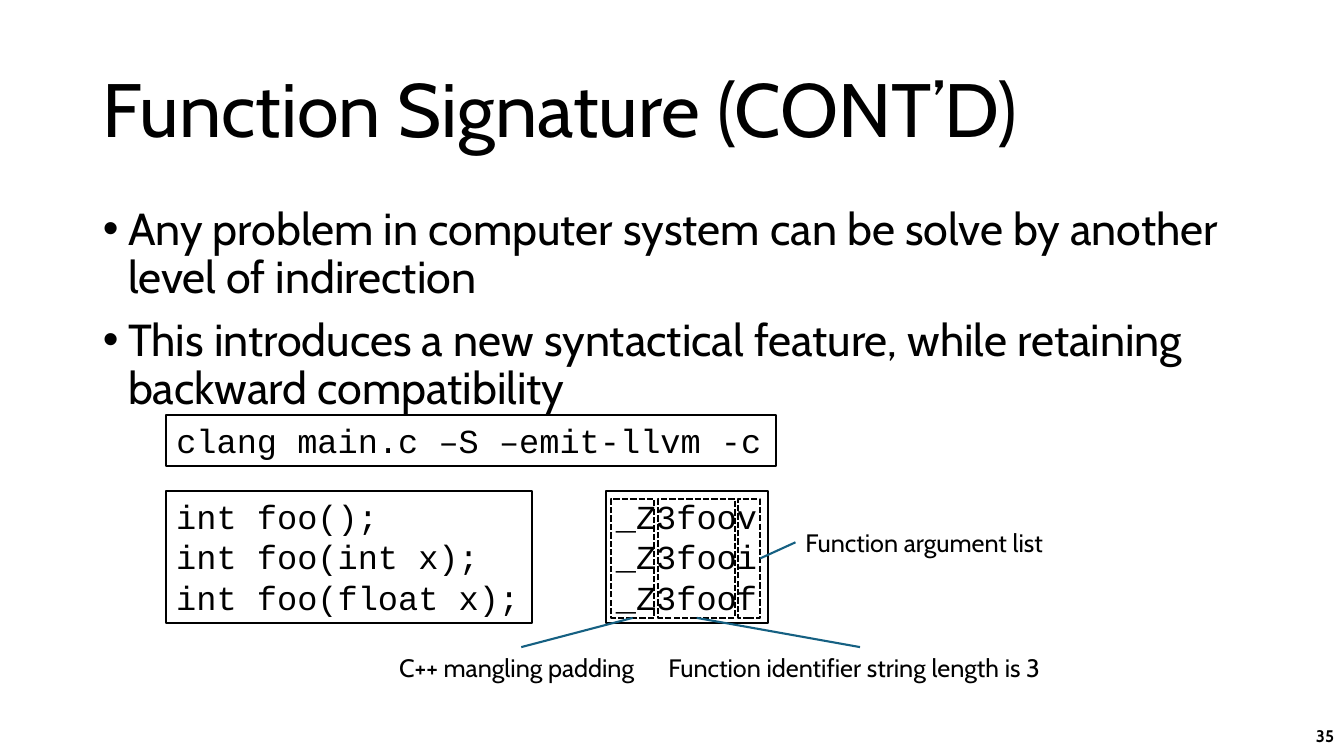
import pptx
import pptx.dml.color
import pptx.enum.dml
import pptx.enum.shapes
import pptx.enum.text
import pptx.oxml.ns
import pptx.util
from lxml import etree

ALIGN = pptx.enum.text.PP_ALIGN
ANCHOR = pptx.enum.text.MSO_ANCHOR
FIT = pptx.enum.text.MSO_AUTO_SIZE
BOTTOM, RIGHT, TOP, LEFT = 2, 3, 0, 1


def px(length):
    return pptx.util.Emu(length * 9144)


def colour(code):
    return pptx.dml.color.RGBColor.from_string(code)


class SlideBuilder:
    text_font, code_font = "Cabin", "Courier New"
    ink, paper, accent = "000000", "FFFFFF", "156082"
    line_width = pptx.util.Pt(1.5)

    def __init__(self, slide):
        self.slide = slide

    def apply(self, target, values):
        for name, value in values.items():
            setattr(target, name, value)

    def outline(self, line, code):
        line.color.rgb = colour(code)
        line.width = self.line_width

    def fill_text(self, frame, lines, size, font, bold=False, bullet=False,
                  paragraph_format=None, **frame_format):
        self.apply(frame, frame_format)
        for index, words in enumerate(lines):
            paragraph = frame.add_paragraph() if index else frame.paragraphs[0]
            if bullet:
                self.add_bullet(paragraph)
            self.apply(paragraph, {
                "alignment": ALIGN.LEFT,
                "space_before": pptx.util.Pt(10 if bullet and index else 0),
                **(paragraph_format or {}),
            })
            run = paragraph.add_run()
            run.text = words
            self.apply(run.font, {"name": font, "size": pptx.util.Pt(size), "bold": bold})
            run.font.color.rgb = colour(self.ink)

    def add_bullet(self, paragraph):
        properties = paragraph._p.get_or_add_pPr()
        properties.set("marL", str(px(25)))
        properties.set("indent", str(px(-25)))
        for tag, key, value in (("a:buFont", "typeface", "Arial"), ("a:buChar", "char", "•")):
            etree.SubElement(properties, pptx.oxml.ns.qn(tag)).set(key, value)

    def placeholder(self, holder, box, lines, size, anchor, bullet=False):
        self.apply(holder, dict(zip(("left", "top", "width", "height"), map(px, box))))
        self.fill_text(holder.text_frame, lines, size, self.text_font, bullet=bullet,
                       paragraph_format={"line_spacing": 0.9}, vertical_anchor=anchor,
                       word_wrap=True, auto_size=FIT.NONE)

    def rectangle(self, box):
        shape = self.slide.shapes.add_shape(
            pptx.enum.shapes.MSO_SHAPE.RECTANGLE, *map(px, box))
        shape.shadow.inherit = False
        self.outline(shape.line, self.ink)
        return shape

    def code(self, box, lines):
        listing = self.rectangle(box)
        listing.fill.solid()
        listing.fill.fore_color.rgb = colour(self.paper)
        self.fill_text(listing.text_frame, lines, 24, self.code_font, word_wrap=False,
                       vertical_anchor=ANCHOR.TOP, auto_size=FIT.SHAPE_TO_FIT_TEXT)

    def marker(self, box):
        part = self.rectangle(box)
        part.fill.background()
        part.line.dash_style = pptx.enum.dml.MSO_LINE.SQUARE_DOT
        return part

    def label(self, box, words):
        caption = self.slide.shapes.add_textbox(*map(px, box))
        self.fill_text(caption.text_frame, [words], 18, self.text_font, word_wrap=False,
                       auto_size=FIT.SHAPE_TO_FIT_TEXT)
        return caption

    def leader(self, part, part_side, caption, caption_side):
        link = self.slide.shapes.add_connector(
            pptx.enum.shapes.MSO_CONNECTOR.STRAIGHT, 0, 0, 0, 0)
        link.begin_connect(part, part_side)
        link.end_connect(caption, caption_side)
        self.outline(link.line, self.accent)
        etree.SubElement(link._element.spPr, pptx.oxml.ns.qn("a:effectLst"))

    def page_number(self, box, number):
        page = self.slide.shapes.add_textbox(*map(px, box))
        self.fill_text(page.text_frame, [number], 12, self.text_font, bold=True,
                       paragraph_format={"alignment": ALIGN.RIGHT},
                       vertical_anchor=ANCHOR.MIDDLE, word_wrap=True)


def main():
    deck = pptx.Presentation()
    deck.slide_width, deck.slide_height = px(1333), px(750)
    slide = deck.slides.add_slide(deck.slide_layouts[1])
    builder = SlideBuilder(slide)

    title, body = slide.placeholders
    builder.placeholder(title, (92, 40, 1150, 145), ["Function Signature (CONT’D)"],
                        54, ANCHOR.MIDDLE)
    builder.placeholder(body, (92, 200, 1150, 476), [
        "Any problem in computer system can be solve by another level of indirection",
        "This introduces a new syntactical feature, while retaining backward compatibility",
    ], 32, ANCHOR.TOP, bullet=True)
    builder.page_number((1033, 710, 300, 40), "35")

    builder.code((165, 487, 363, 131), ["int foo();", "int foo(int x);", "int foo(float x);"])
    builder.code((165, 412, 605, 50), ["clang main.c –S –emit-llvm -c"])
    builder.code((601, 487, 161, 131), [f"_Z3foo{argument}" for argument in "vif"])

    mangled_parts = (
        (606, 43, BOTTOM, (386, 642, 262, 40), "C++ mangling padding", TOP),
        (653, 76, BOTTOM, (653, 642, 400, 40), "Function identifier string length is 3", TOP),
        (732, 22, RIGHT, (789, 518, 264, 40), "Function argument list", LEFT),
    )
    for left, width, part_side, caption_box, words, caption_side in mangled_parts:
        part = builder.marker((left, 495, width, 118))
        caption = builder.label(caption_box, words)
        builder.leader(part, part_side, caption, caption_side)

    deck.save("out.pptx")


if __name__ == "__main__":
    main()
